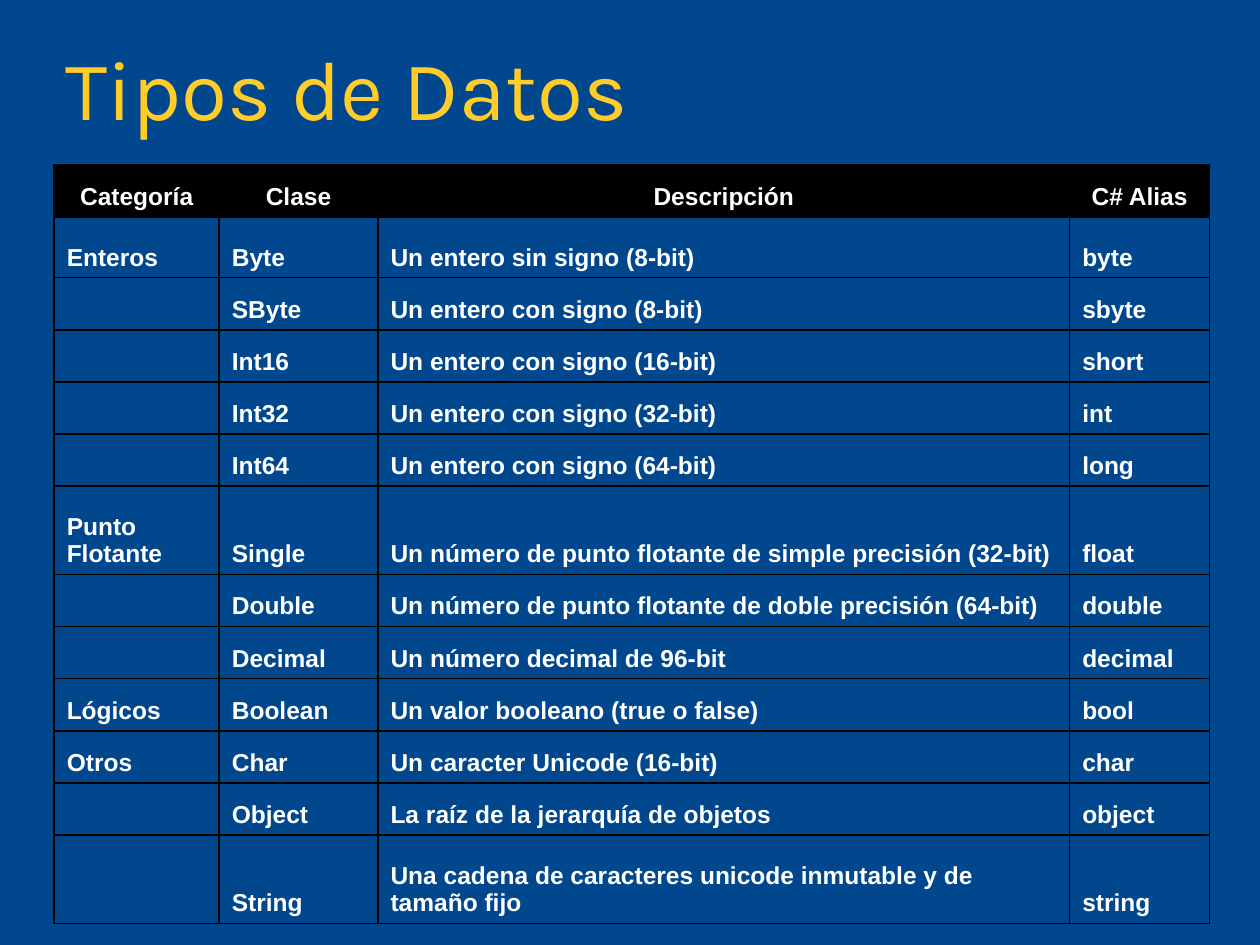
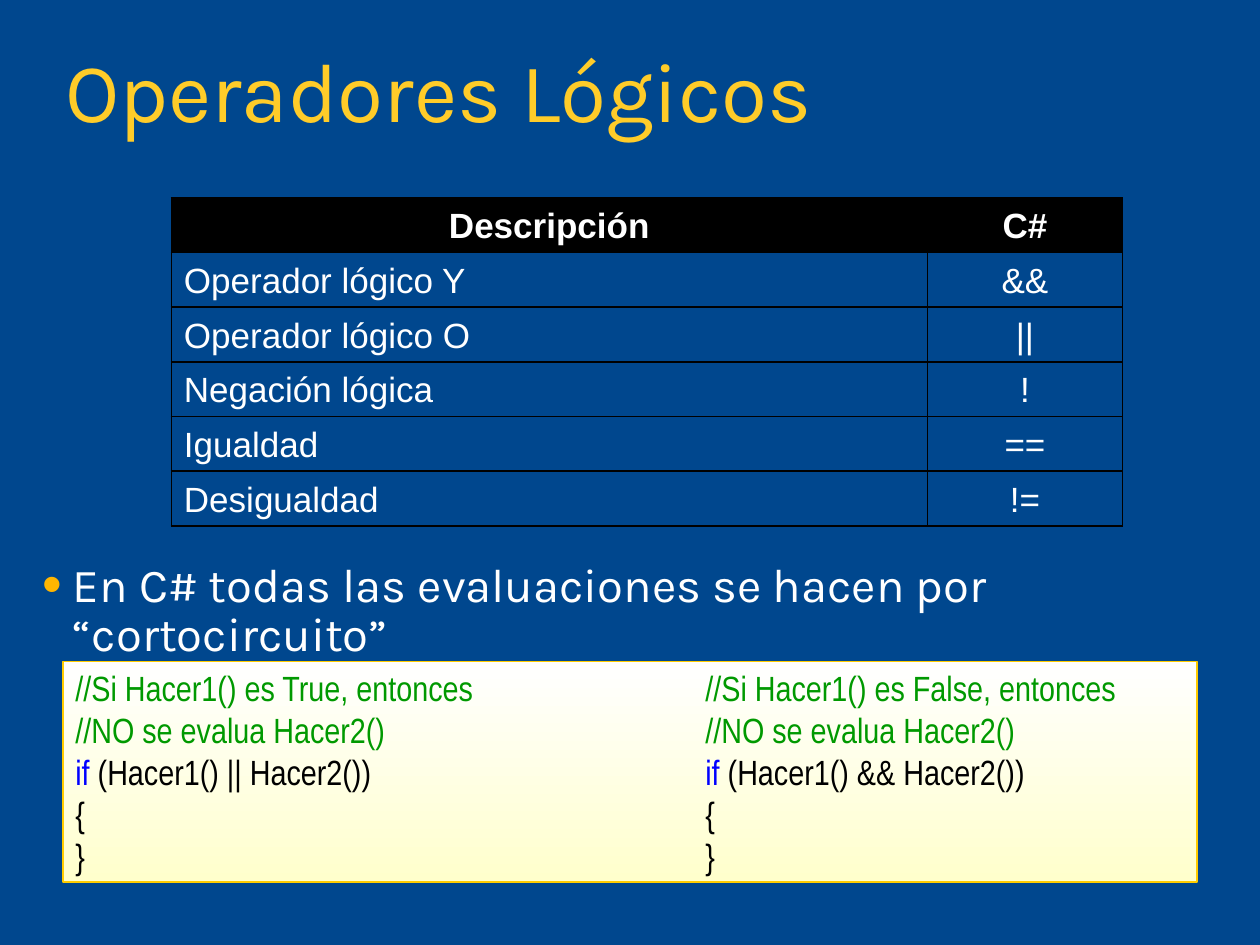
import pptx
import pptx.util
import pptx.dml.color
import pptx.enum.shapes
import pptx.enum.text
import pptx.oxml
import pptx.oxml.ns
import lxml.etree

Inches, Pt = pptx.util.Inches, pptx.util.Pt
ALIGN = pptx.enum.text.PP_ALIGN
ANCHOR = pptx.enum.text.MSO_ANCHOR
COLORS = {
    "background": "00478E", "title": "FFCC29", "text": "FFFFFF",
    "black": "000000", "bullet": "FFB601", "code_end": "FFFFCC",
    "code_line": "FFCC00", "comment": "009900", "keyword": "0000FF",
}

TYPES = [
    ("Categoría", "Clase", "Descripción", "C# Alias"),
    ("Enteros", "Byte", "Un entero sin signo (8-bit)", "byte"),
    ("", "SByte", "Un entero con signo (8-bit)", "sbyte"),
    ("", "Int16", "Un entero con signo (16-bit)", "short"),
    ("", "Int32", "Un entero con signo (32-bit)", "int"),
    ("", "Int64", "Un entero con signo (64-bit)", "long"),
    ("Punto Flotante", "Single",
     "Un número de punto flotante de simple precisión (32-bit)", "float"),
    ("", "Double",
     "Un número de punto flotante de doble precisión (64-bit)", "double"),
    ("", "Decimal", "Un número decimal de 96-bit", "decimal"),
    ("Lógicos", "Boolean", "Un valor booleano (true o false)", "bool"),
    ("Otros", "Char", "Un caracter Unicode (16-bit)", "char"),
    ("", "Object", "La raíz de la jerarquía de objetos", "object"),
    ("", "String",
     "Una cadena de caracteres unicode inmutable y de tamaño fijo", "string"),
]
TYPE_HEIGHTS = {1: 0.48, 6: 0.7, 12: 0.7}

OPERATORS = [
    ("Descripción", "C#"),
    ("Operador lógico Y", "&&"),
    ("Operador lógico O", "||"),
    ("Negación lógica", "!"),
    ("Igualdad", "=="),
    ("Desigualdad", "!="),
]

EVALUATION = "En C# todas las evaluaciones se hacen por “cortocircuito”"
CODE = [
    [("//Si Hacer1() es True, entonces\t//Si Hacer1() es False, entonces", "comment")],
    [("//NO se evalua Hacer2()\t//NO se evalua Hacer2()", "comment")],
    [("if", "keyword"), (" (Hacer1() || Hacer2())\t", "black"),
     ("if", "keyword"), (" (Hacer1() && Hacer2())", "black")],
    [("{\t{", "black")],
    [("}\t}", "black")],
]


def rgb(name):
    return pptx.dml.color.RGBColor.from_string(COLORS[name])


def sub(parent, tag, **attrs):
    return lxml.etree.SubElement(
        parent, pptx.oxml.ns.qn(tag), {k: str(v) for k, v in attrs.items()})


def set_font(font, name, size, color=None, bold=False):
    font.name, font.size, font.bold = name, Pt(size), bold
    if color:
        font.color.rgb = rgb(color)


def add_slide():
    slide = prs.slides.add_slide(prs.slide_layouts[6])
    slide.background.fill.solid()
    slide.background.fill.fore_color.rgb = rgb("background")
    return slide


def add_text(slide, text, box, size, color, spacing):
    tf = slide.shapes.add_textbox(*map(Inches, box)).text_frame
    tf.word_wrap = True
    p = tf.paragraphs[0]
    p.text = text
    p.line_spacing = spacing
    set_font(p.font, "Karla", size, color)
    return p


def add_title(slide, text, top):
    add_text(slide, text, (0.42, top, 9.18, 0.83), 48, "title", 0.9)


def add_borders(cell):
    tc_pr = cell._tc.get_or_add_tcPr()
    for side in ("L", "R", "T", "B"):
        ln = sub(tc_pr, f"a:ln{side}", w=Pt(1))
        sub(sub(ln, "a:solidFill"), "a:srgbClr", val=COLORS["black"])


def add_grid(slide, rows, left, top, widths, heights, size, bold, centered=()):
    table = slide.shapes.add_table(
        len(rows), len(widths), Inches(left), Inches(top),
        Inches(sum(widths)), Inches(sum(heights))).table
    table.first_row = table.horz_banding = False
    for col, width in zip(table.columns, widths):
        col.width = Inches(width)
    for i, (row, height) in enumerate(zip(rows, heights)):
        table.rows[i].height = Inches(height)
        for j, text in enumerate(row):
            cell = table.cell(i, j)
            cell.text = text
            cell.vertical_anchor = ANCHOR.BOTTOM
            add_borders(cell)
            if i == 0:
                cell.fill.solid()
                cell.fill.fore_color.rgb = rgb("black")
            else:
                cell.fill.background()
            p = cell.text_frame.paragraphs[0]
            p.alignment = ALIGN.CENTER if i == 0 or j in centered else ALIGN.LEFT
            set_font(p.font, "Arial", size, "text", bold or i == 0)


def add_bullet(p, indent):
    p.space_before, p.space_after = Pt(10.1), Pt(16.9)
    p_pr = p._p.get_or_add_pPr()
    p_pr.set("marL", str(Inches(indent)))
    p_pr.set("indent", str(-Inches(indent)))
    def_rpr = p_pr.find(pptx.oxml.ns.qn("a:defRPr"))
    color = sub(p_pr, "a:buClr")
    sub(color, "a:srgbClr", val=COLORS["bullet"])
    marks = [color, sub(p_pr, "a:buSzPct", val=119000),
             sub(p_pr, "a:buFont", typeface="Arial"),
             sub(p_pr, "a:buChar", char="•")]
    for mark in marks:
        def_rpr.addprevious(mark)


def add_code(slide, lines, box, column):
    sp = slide.shapes.add_shape(
        pptx.enum.shapes.MSO_SHAPE.RECTANGLE, *map(Inches, box))
    sp.shadow.inherit = False
    sp.fill.gradient()
    sp.fill.gradient_angle = 270
    for stop, name in zip(sp.fill.gradient_stops, ("text", "code_end")):
        stop.color.rgb = rgb(name)
    sp.line.color.rgb = rgb("code_line")
    sp.line.width = Pt(0.74)
    tf = sp.text_frame
    tf.word_wrap = True
    tf.vertical_anchor = ANCHOR.MIDDLE
    for i, line in enumerate(lines):
        p = tf.add_paragraph() if i else tf.paragraphs[0]
        p.alignment = ALIGN.LEFT
        set_font(p.font, "Arial Narrow", 20)
        p_pr = p._p.get_or_add_pPr()
        tabs = sub(p_pr, "a:tabLst")
        sub(tabs, "a:tab", pos=Inches(column), algn="l")
        p_pr.find(pptx.oxml.ns.qn("a:defRPr")).addprevious(tabs)
        for text, color in line:
            r = p.add_run()
            r.text = text
            r.font.color.rgb = rgb(color)


prs = pptx.Presentation()
prs.slide_width, prs.slide_height = Inches(10), Inches(7.5)

slide = add_slide()
add_title(slide, "Tipos de Datos", 0.33)
plain = (6.02 - sum(TYPE_HEIGHTS.values())) / (len(TYPES) - len(TYPE_HEIGHTS))
heights = [TYPE_HEIGHTS.get(i, plain) for i in range(len(TYPES))]
add_grid(slide, TYPES, 0.43, 1.31, (1.31, 1.26, 5.49, 1.11), heights, 14, True)

slide = add_slide()
add_title(slide, "Operadores Lógicos", 0.35)
heights = [2.6 / len(OPERATORS)] * len(OPERATORS)
add_grid(slide, OPERATORS, 1.36, 1.57, (6, 1.55), heights, 20, False, centered=(1,))
p = add_text(slide, EVALUATION, (0.24, 4.43, 9.71, 0.48), 27, "text", 0.85)
add_bullet(p, 0.24)
add_code(slide, CODE, (0.5, 5.25, 9, 1.75), 5)

prs.save("out.pptx")
